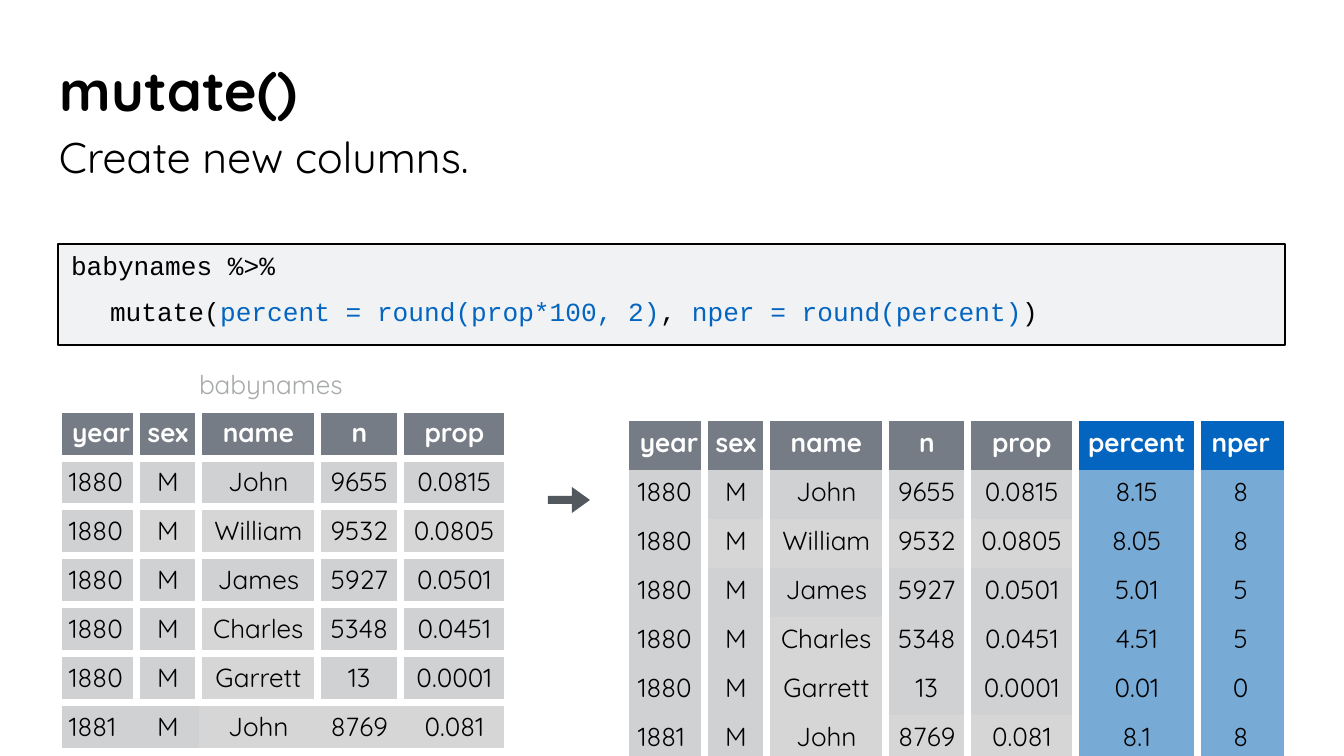
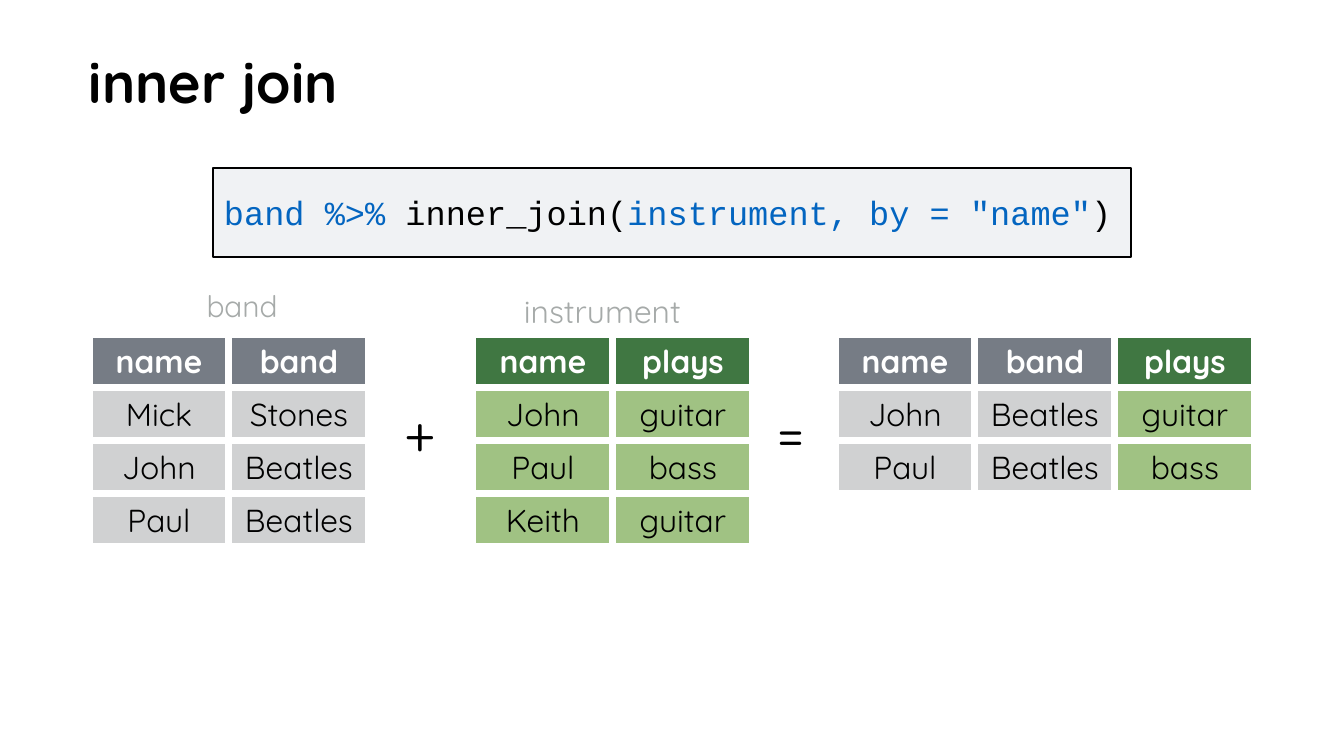
import pptx
import pptx.dml.color
import pptx.enum.shapes
import pptx.enum.text
import pptx.oxml.ns
import pptx.util
from lxml import etree

EMU_PER_PX = 914400 / 134.4
SANS, MONO = "Quicksand", "Courier New"
BLACK, WHITE, LABEL = "000000", "FFFFFF", "A6AAA9"
SLATE, GREY, LIGHT_GREY = "767C85", "D0D1D2", "D6D6D6"
BLUE, LIGHT_BLUE = "0365C0", "78AAD6"
GREEN, LIGHT_GREEN = "407742", "A0C283"
CODE_FILL, ARROW = "F0F2F4", "53585F"
GAP_PT = 4.25
LEFT, CENTER = pptx.enum.text.PP_ALIGN.LEFT, pptx.enum.text.PP_ALIGN.CENTER

BABYNAMES = [line.split() for line in (
    "year sex name n prop",
    "1880 M John 9655 0.0815",
    "1880 M William 9532 0.0805",
    "1880 M James 5927 0.0501",
    "1880 M Charles 5348 0.0451",
    "1880 M Garrett 13 0.0001",
    "1881 M John 8769 0.081",
)]
NEW_COLUMNS = [line.split() for line in (
    "percent nper", "8.15 8", "8.05 8", "5.01 5", "4.51 5", "0.01 0", "8.1 8",
)]
LIGHT_CELLS = {2: (1, 2, 3, 4), 4: (2,), 5: (2,), 6: (2, 3, 4)}


def px(length):
    return pptx.util.Emu(round(length * EMU_PER_PX))


def rgb(color):
    return pptx.dml.color.RGBColor.from_string(color)


def paint(target, color):
    target.fill.solid()
    target.fill.fore_color.rgb = rgb(color)


def babynames_fill(row, column):
    if column > 4:
        return LIGHT_BLUE if row else BLUE
    if row == 0:
        return SLATE
    return LIGHT_GREY if column in LIGHT_CELLS.get(row, ()) else GREY


def join_fill(green_columns):
    """Return a fill rule with the given columns in green."""
    def fill(row, column):
        if column in green_columns:
            return LIGHT_GREEN if row else GREEN
        return GREY if row else SLATE
    return fill


def all_sides(row, column):
    return "LRTB"


def open_last_row(row, column):
    """Gaps everywhere, but no gaps between the cells of the last row."""
    if row < len(BABYNAMES) - 1:
        return "LRTB"
    return "TB" + {0: "L", 4: "R"}.get(column, "")


def between_columns(row, column):
    return {0: "R", 6: "L"}.get(column, "LR")


class Deck:
    def __init__(self):
        self.deck = pptx.Presentation()
        self.deck.slide_width, self.deck.slide_height = px(1344), px(756)
        self.page = None

    def new_page(self):
        self.page = self.deck.slides.add_slide(self.deck.slide_layouts[6])

    def add_spans(self, para, spans, size, font=SANS, bold=False, align=LEFT, indent=0):
        """Fill a paragraph with (text, color) spans."""
        para.alignment = align
        if indent:
            properties = para._p.get_or_add_pPr()
            properties.set("marL", str(px(indent)))
            properties.set("indent", "0")
        for text, color in spans:
            span = para.add_run()
            span.text = text
            span.font.name = font
            span.font.size = pptx.util.Pt(size)
            span.font.bold = bold
            span.font.color.rgb = rgb(color)

    def frame(self, box, side, top):
        """Set the insets of a text frame and return it."""
        frame = box.text_frame
        frame.word_wrap = True
        frame.vertical_anchor = pptx.enum.text.MSO_ANCHOR.TOP
        frame.margin_left = frame.margin_right = px(side)
        frame.margin_top, frame.margin_bottom = px(top), px(side)
        return frame

    def text(self, x, y, width, height, words, size, color=BLACK, inset=0, **style):
        box = self.page.shapes.add_textbox(px(x), px(y), px(width), px(height))
        frame = self.frame(box, inset, inset or 1)
        self.add_spans(frame.paragraphs[0], [(words, color)], size, **style)

    def title(self, x, y, words):
        self.text(x, y, 420, 86, words, 30, bold=True)

    def code(self, x, y, width, height, lines, size, top):
        """Draw a code panel; each line is (indent, spans)."""
        box = self.page.shapes.add_shape(
            pptx.enum.shapes.MSO_SHAPE.RECTANGLE, px(x), px(y), px(width), px(height))
        box.shadow.inherit = False
        paint(box, CODE_FILL)
        box.line.color.rgb = rgb(BLACK)
        box.line.width = pptx.util.Pt(0.82)
        frame = self.frame(box, 0, top)
        for number, (indent, spans) in enumerate(lines):
            para = frame.add_paragraph() if number else frame.paragraphs[0]
            if number:
                para.space_before = pptx.util.Pt(8)
            self.add_spans(para, spans, size, MONO, indent=indent)

    def outline(self, points, color):
        builder = self.page.shapes.build_freeform(*points[0], scale=EMU_PER_PX)
        builder.add_line_segments(points[1:], close=True)
        shape = builder.convert_to_shape()
        shape.shadow.inherit = False
        paint(shape, color)
        shape.line.fill.background()

    def borders(self, cell, sides):
        """Give the named sides a white gap and the others no line."""
        properties = cell._tc.get_or_add_tcPr()
        for side in "LRTB":
            line = etree.SubElement(properties, pptx.oxml.ns.qn("a:ln" + side))
            if side in sides:
                line.set("w", str(pptx.util.Pt(GAP_PT)))
                fill = etree.SubElement(line, pptx.oxml.ns.qn("a:solidFill"))
                etree.SubElement(fill, pptx.oxml.ns.qn("a:srgbClr"), val=WHITE)
            else:
                line.set("w", "0")
                etree.SubElement(line, pptx.oxml.ns.qn("a:noFill"))

    def table(self, x, y, widths, height, rows, size, fill,
              sides=all_sides, top=7, indents=None):
        """Draw a table; indents (header, body) left-align the first column."""
        table = self.page.shapes.add_table(
            len(rows), len(widths), px(x), px(y),
            px(sum(widths)), px(height * len(rows))).table
        table.first_row = table.horz_banding = False
        for column, width in zip(table.columns, widths):
            column.width = px(width)
        for r, row in enumerate(rows):
            for c, words in enumerate(row):
                cell = table.cell(r, c)
                cell.margin_left = cell.margin_right = cell.margin_bottom = 0
                cell.margin_top = px(top)
                self.borders(cell, sides(r, c))
                paint(cell, fill(r, c))
                indented = indents and c == 0
                self.add_spans(
                    cell.text_frame.paragraphs[0],
                    [(words, BLACK if r else WHITE)], size, bold=r == 0,
                    align=LEFT if indented else CENTER,
                    indent=indents[min(r, 1)] if indented else 0)


def mutate_page(deck):
    deck.new_page()
    deck.table(59, 409, [78, 62, 119, 83, 107], 49, BABYNAMES, 14,
               babynames_fill, open_last_row, indents=(13, 10))
    deck.text(199, 367, 266, 44, "babynames", 14, LABEL)
    deck.outline([(572, 487), (572, 496), (548, 496), (548, 504),
                  (572, 504), (572, 513), (590, 500)], ARROW)
    deck.code(58, 244, 1227, 101, [
        (13, [("babynames %>%", BLACK)]),
        (52, [("mutate(", BLACK), ("percent = round(prop*100, 2)", BLUE),
              (", ", BLACK), ("nper = round(percent)", BLUE), (")", BLACK)]),
    ], 14, 5)
    deck.table(629, 421, [76, 62, 119, 82, 108, 122, 86], 49,
               [old + new for old, new in zip(BABYNAMES, NEW_COLUMNS)], 14,
               babynames_fill, between_columns, top=5, indents=(11, 9))
    deck.title(60, 54, "mutate()")
    deck.text(59, 130, 546, 52, "Create new columns.", 23)


def join_page(deck):
    deck.new_page()
    deck.title(89, 47, "inner join")
    tables = [
        (89, ["name band", "Mick Stones", "John Beatles", "Paul Beatles"], ()),
        (473, ["name plays", "John guitar", "Paul bass", "Keith guitar"], (0, 1)),
        (835, ["name band plays", "John Beatles guitar", "Paul Beatles bass"], (2,)),
    ]
    for x, lines, green_columns in tables:
        rows = [line.split() for line in lines]
        deck.table(x, 335, [140] * len(rows[0]), 53, rows, 17, join_fill(green_columns))
    for x, sign in ((405, "+"), (778, "=")):
        deck.text(x, 396, 35, 69, sign, 30)
    deck.code(213, 168, 918, 89, [
        (11, [("band %>% ", BLUE), ("inner_join(", BLACK),
              ('instrument, by = "name"', BLUE), (")", BLACK)]),
    ], 18, 24)
    deck.text(517, 285, 202, 31, "instrument", 17, LABEL, inset=7)
    deck.text(168, 281, 148, 47, "band", 16, LABEL, inset=7, align=CENTER)


def main():
    deck = Deck()
    mutate_page(deck)
    join_page(deck)
    deck.deck.save("out.pptx")


if __name__ == "__main__":
    main()
